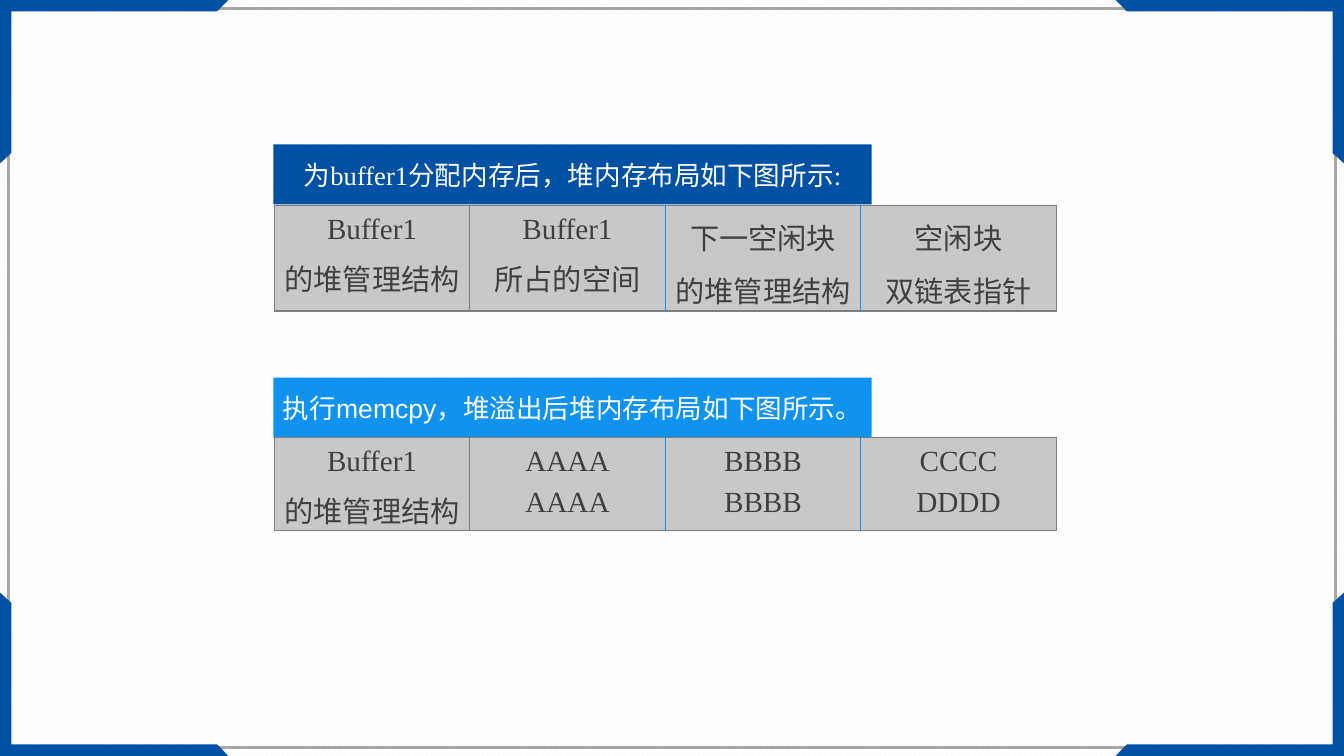
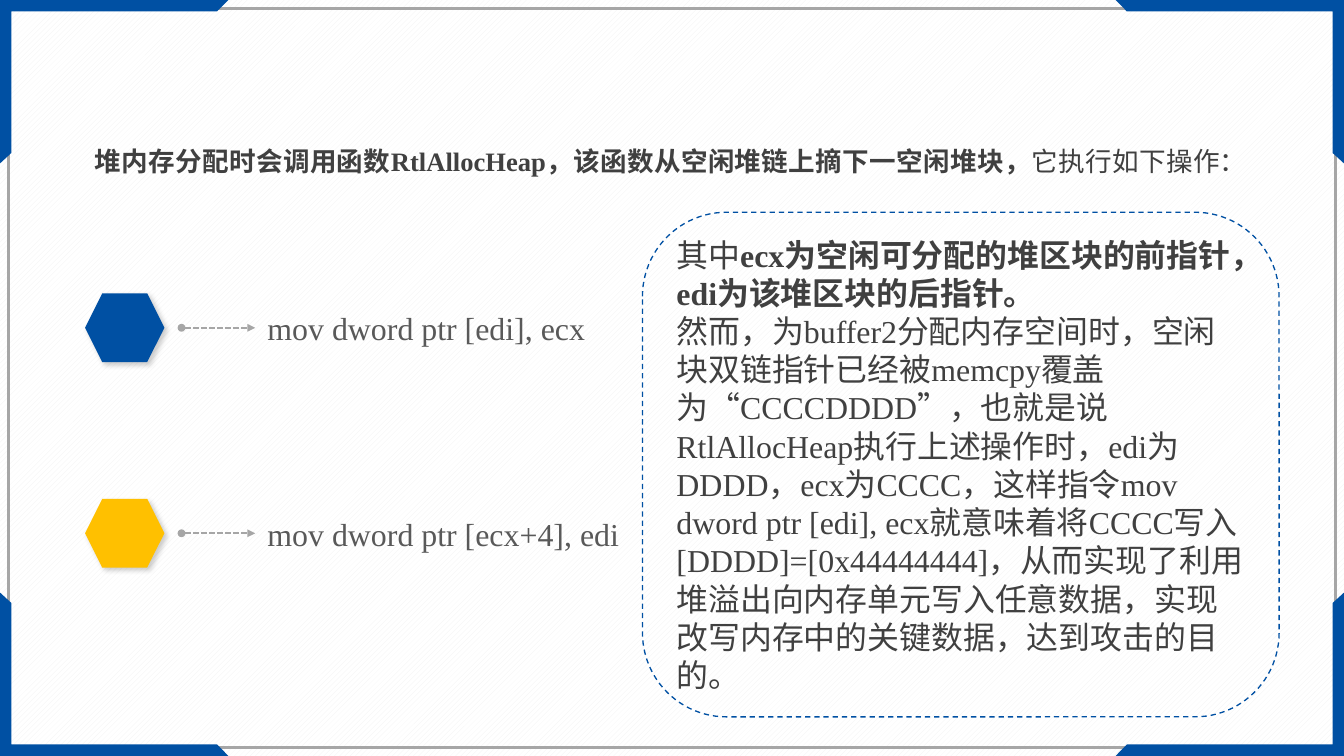
import lxml.etree
import pptx
import pptx.dml.color
import pptx.enum.dml
import pptx.enum.shapes
import pptx.enum.text
import pptx.oxml.ns
import pptx.util

RGBColor = pptx.dml.color.RGBColor
NAVY = RGBColor(0x00, 0x50, 0xA3)
SKY = RGBColor(0x10, 0x92, 0xF1)
AMBER = RGBColor(0xFF, 0xC0, 0x00)
WHITE = RGBColor(0xFF, 0xFF, 0xFF)
HATCH = RGBColor(0xF2, 0xF2, 0xF2)
SILVER = RGBColor(0xC8, 0xC8, 0xC8)
GRAY = RGBColor(0xA6, 0xA6, 0xA6)
RULE = RGBColor(0x7F, 0x7F, 0x7F)
DARK = RGBColor(0x40, 0x40, 0x40)
CODE = RGBColor(0x59, 0x59, 0x59)
SERIF = "Times New Roman"

SHAPE = pptx.enum.shapes.MSO_SHAPE
ALIGN = pptx.enum.text.PP_ALIGN
MIDDLE = pptx.enum.text.MSO_ANCHOR.MIDDLE
DASH = pptx.enum.dml.MSO_LINE
WIDTH = pptx.util.Inches(14.06)
HEIGHT = pptx.util.Inches(7.91)


def sub(parent, tag, **attrs):
    return lxml.etree.SubElement(parent, pptx.oxml.ns.qn(tag), attrs)


def write(tf, paragraphs, size=24, font=SERIF, color=DARK, align=ALIGN.LEFT,
          anchor=None, spacing=None):
    tf.word_wrap = True
    if anchor is not None:
        tf.vertical_anchor = anchor
    for i, runs in enumerate(paragraphs):
        p = tf.paragraphs[0] if i == 0 else tf.add_paragraph()
        p.alignment = align
        if spacing:
            p.line_spacing = spacing
        for run in [(runs, {})] if isinstance(runs, str) else runs:
            text, own = run
            r = p.add_run()
            r.text = text
            r.font.size = pptx.util.Pt(size)
            r.font.name = own.get("font", font)
            r.font.bold = own.get("bold", False)
            r.font.color.rgb = color


class Deck:
    def __init__(self):
        self.prs = pptx.Presentation()
        self.prs.slide_width = WIDTH
        self.prs.slide_height = HEIGHT
        self.s = None

    def x(self, percent):
        return round(WIDTH * percent / 100)

    def y(self, percent):
        return round(HEIGHT * percent / 100)

    def box(self, left, top, width, height):
        return self.x(left), self.y(top), self.x(width), self.y(height)

    def new_slide(self):
        self.s = self.prs.slides.add_slide(self.prs.slide_layouts[6])
        fill = self.s.background.fill
        fill.patterned()
        fill.pattern = pptx.enum.dml.MSO_PATTERN.WIDE_UPWARD_DIAGONAL
        fill.fore_color.rgb = HATCH
        fill.back_color.rgb = WHITE
        self.shape(SHAPE.RECTANGLE, 0.64, 1.14, 98.72, 97.72, line=GRAY, weight=2)
        for right in (False, True):
            for bottom in (False, True):
                self.corner(right, bottom)

    def paint(self, sp, fill=None, line=None, weight=1, dash=None):
        sp.shadow.inherit = False
        if fill is None:
            sp.fill.background()
        else:
            sp.fill.solid()
            sp.fill.fore_color.rgb = fill
        if line is None:
            sp.line.fill.background()
        else:
            sp.line.color.rgb = line
            sp.line.width = pptx.util.Pt(weight)
            if dash is not None:
                sp.line.dash_style = dash

    def shape(self, kind, left, top, width, height, **look):
        sp = self.s.shapes.add_shape(kind, *self.box(left, top, width, height))
        self.paint(sp, **look)
        return sp

    def corner(self, right, bottom):
        outline = [(0, 0), (17, 0), (16.15, 1.52), (0.85, 1.52), (0.85, 20.23), (0, 21.62)]
        points = [(self.x(100 - px if right else px), self.y(100 - py if bottom else py))
                  for px, py in outline]
        builder = self.s.shapes.build_freeform(*points[0])
        builder.add_line_segments(points[1:])
        self.paint(builder.convert_to_shape(), fill=NAVY)

    def text(self, left, top, width, height, paragraphs, **fmt):
        tb = self.s.shapes.add_textbox(*self.box(left, top, width, height))
        write(tb.text_frame, paragraphs, **fmt)

    def band(self, top, text, fill, font):
        sp = self.shape(SHAPE.RECTANGLE, 20.34, top, 44.52, 7.96, fill=fill)
        write(sp.text_frame, [text], size=20, font=font, color=WHITE,
              align=ALIGN.CENTER, anchor=MIDDLE)

    def border(self, cell, side, color):
        ln = sub(cell._tc.get_or_add_tcPr(), "a:" + side, w="12700")
        sub(sub(ln, "a:solidFill"), "a:srgbClr", val=str(color))

    def table(self, top, height, cells):
        frame = self.s.shapes.add_table(1, len(cells), *self.box(20.41, top, 58.18, height))
        tbl = frame.table
        tbl.first_row = tbl.horz_banding = False
        for i, lines in enumerate(cells):
            cell = tbl.cell(0, i)
            self.border(cell, "lnL", SKY if i >= 2 else RULE)
            self.border(cell, "lnR", SKY if 1 <= i < len(cells) - 1 else RULE)
            self.border(cell, "lnT", RULE)
            self.border(cell, "lnB", RULE)
            cell.fill.solid()
            cell.fill.fore_color.rgb = SILVER
            cell.margin_left = cell.margin_right = pptx.util.Inches(0.07)
            cell.margin_top = cell.margin_bottom = 0
            write(cell.text_frame, lines, size=22, align=ALIGN.CENTER, spacing=1.25)

    def arrow(self, start, end, level):
        cn = self.s.shapes.add_connector(
            pptx.enum.shapes.MSO_CONNECTOR.STRAIGHT,
            self.x(start), self.y(level), self.x(end), self.y(level))
        cn.line.color.rgb = GRAY
        cn.line.width = pptx.util.Pt(1.5)
        cn.line.dash_style = DASH.SQUARE_DOT
        ln = cn.line._get_or_add_ln()
        sub(ln, "a:headEnd", type="oval")
        sub(ln, "a:tailEnd", type="triangle")
        sub(cn._element.spPr, "a:effectLst")

    def soften(self, sp):
        effects = sp._element.spPr.find(pptx.oxml.ns.qn("a:effectLst"))
        shadow = sub(effects, "a:outerShdw", blurRad="50800", dist="38100",
                     dir="2700000", algn="tl", rotWithShape="0")
        sub(sub(shadow, "a:srgbClr", val="000000"), "a:alpha", val="20000")

    def instruction(self, level, code, color):
        sp = self.shape(SHAPE.HEXAGON, 6.33, level - 4.55, 5.9, 9.1, fill=color)
        self.soften(sp)
        self.text(19.2, level - 3.16, 47.37, 6.32, [code], color=CODE, anchor=MIDDLE)
        self.arrow(13.51, 18.99, level)


def heap_layout(deck):
    deck.new_slide()
    deck.band(19.09, "为buffer1分配内存后，堆内存布局如下图所示:", NAVY, SERIF)
    deck.band(49.94, "执行memcpy，堆溢出后堆内存布局如下图所示。", SKY, "Arial")
    header = ("Buffer1", "的堆管理结构")
    deck.table(27.18, 12.77, [header, ("Buffer1", "所占的空间"),
                              ("下一空闲块", "的堆管理结构"), ("空闲块", "双链表指针")])
    deck.table(57.9, 11.88, [header, ("AAAA", "AAAA"), ("BBBB", "BBBB"), ("CCCC", "DDDD")])


def heap_unlink(deck):
    deck.new_slide()
    deck.instruction(43.36, "mov dword ptr [edi], ecx", NAVY)
    deck.instruction(70.54, "mov dword ptr [ecx+4], edi", AMBER)
    bold = {"bold": True}
    deck.text(6.33, 18.58, 85.14, 5.44, [[
        ("堆内存分配时会调用函数RtlAllocHeap，该函数从空闲堆链上摘下一空闲堆块，", bold),
        ("它执行如下操作：", {}),
    ]], size=20, align=ALIGN.JUSTIFY)
    note = deck.shape(SHAPE.ROUNDED_RECTANGLE, 47.8, 28.07, 47.37, 66.75,
                      line=NAVY, dash=DASH.DASH)
    write(note.text_frame, [
        [("其中", {}), ("ecx为空闲可分配的堆区块的前指针，edi为该堆区块的后指针。", bold)],
        [("然而，为buffer2分配内存空间时，空闲块双链指针已经被memcpy覆盖为“CCCCDDDD", {}),
         ("”", {"font": "Noto Sans CJK SC"}),
         ("，也就是说RtlAllocHeap执行上述操作时，edi为DDDD，ecx为CCCC，"
          "这样指令mov dword ptr [edi], ecx就意味着将CCCC写入[DDDD]=[0x44444444]，"
          "从而实现了利用堆溢出向内存单元写入任意数据，"
          "实现改写内存中的关键数据，达到攻击的目的。", {})],
    ], anchor=MIDDLE)


def main():
    deck = Deck()
    heap_layout(deck)
    heap_unlink(deck)
    deck.prs.save("out.pptx")


if __name__ == "__main__":
    main()
